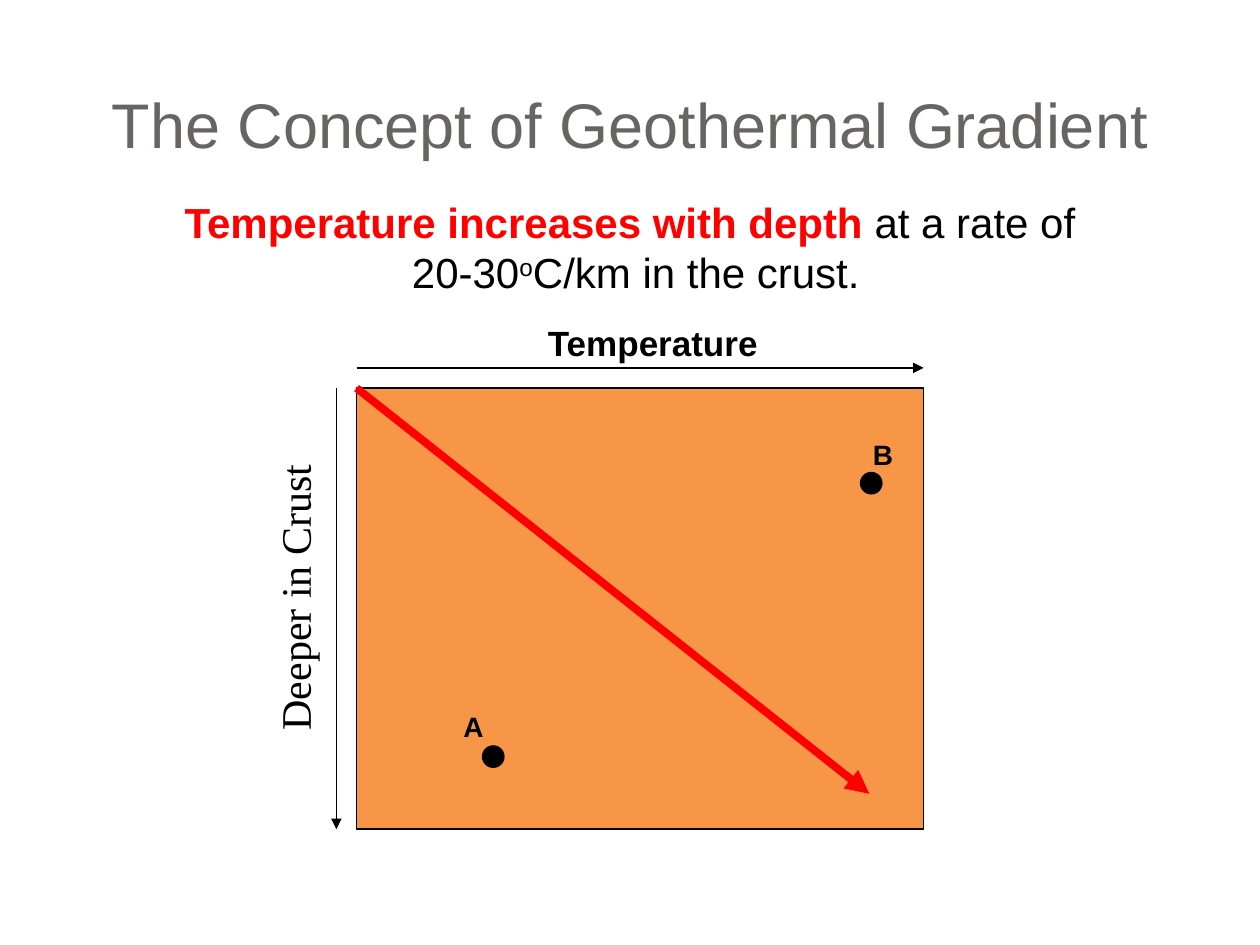
"""Builds the geothermal gradient slide: title, statement and a temperature-depth diagram."""
from lxml.etree import SubElement
from pptx import Presentation
from pptx.dml.color import RGBColor
from pptx.enum.shapes import MSO_CONNECTOR, MSO_SHAPE
from pptx.enum.text import MSO_AUTO_SIZE, PP_ALIGN
from pptx.oxml.ns import qn
from pptx.util import Inches, Pt

THEME = {
    "black": RGBColor(0, 0, 0),
    "grey": RGBColor(0x69, 0x64, 0x64),
    "red": RGBColor(0xFF, 0, 0),
    "crust": RGBColor(0xF7, 0x96, 0x46),
    "title": Pt(36),
    "body": Pt(24),
    "axis": Pt(20),
    "point": Pt(16),
    "thin": Pt(0.75),
    "thick": Pt(4.5),
}


def add_text(slide, box, paragraphs, size, align=PP_ALIGN.LEFT, wrap=False, font="Arial"):
    shape = slide.shapes.add_textbox(*map(Inches, box))
    frame = shape.text_frame
    frame.word_wrap = wrap
    frame.auto_size = MSO_AUTO_SIZE.SHAPE_TO_FIT_TEXT
    for index, runs in enumerate(paragraphs):
        paragraph = frame.paragraphs[0] if index == 0 else frame.add_paragraph()
        paragraph.alignment = align
        for text, color, bold, baseline in runs:
            run = paragraph.add_run()
            run.text = text
            run.font.color.rgb = THEME[color]
            for name, value in {"name": font, "size": THEME[size], "bold": bold}.items():
                setattr(run.font, name, value)
            if baseline:
                run.font._element.set("baseline", str(baseline * 1000))
    return shape


def add_filled_shape(slide, kind, box, fill):
    shape = slide.shapes.add_shape(kind, *map(Inches, box))
    shape.shadow.inherit = False
    shape.fill.solid()
    shape.fill.fore_color.rgb = THEME[fill]
    shape.line.color.rgb = THEME["black"]
    shape.line.width = THEME["thin"]


presentation = Presentation()
presentation.slide_width = Inches(10)
presentation.slide_height = Inches(7.5)
slide = presentation.slides.add_slide(presentation.slide_layouts[6])

left, top, width, height = 2.83, 3.08, 4.5, 3.5
right, bottom = left + width, top + height
axis_gap = 0.16
dot = 0.17

add_text(slide, (0, 0.63, 10, 0.71),
         [[("The Concept of Geothermal Gradient", "grey", False, 0)]],
         "title", PP_ALIGN.CENTER, True)
add_text(slide, (0, 1.51, 10, 0.91), [
    [("Temperature increases with depth ", "red", True, 0),
     ("at a rate of", "black", False, 0)],
    [(" 20-30", "black", False, 0),
     ("o", "black", False, 30),
     ("C/km in the crust.", "black", False, 0)],
], "body", PP_ALIGN.CENTER, True)

add_filled_shape(slide, MSO_SHAPE.RECTANGLE, (left, top, width, height), "crust")

arrows = [
    ((left, top, 6.9, 6.3), "red", "thick"),
    ((left - axis_gap, top, left - axis_gap, bottom), "black", "thin"),
    ((left, top - axis_gap, right, top - axis_gap), "black", "thin"),
]
for ends, color, weight in arrows:
    arrow = slide.shapes.add_connector(MSO_CONNECTOR.STRAIGHT, *map(Inches, ends))
    arrow.line.color.rgb = THEME[color]
    arrow.line.width = THEME[weight]
    SubElement(arrow.line._get_or_add_ln(), qn("a:tailEnd"), type="triangle")
    SubElement(arrow._element.spPr, qn("a:effectLst"))

add_text(slide, (4.25, 2.5, 1.88, 0.44), [[("Temperature", "black", True, 0)]], "axis")
depth_label = add_text(slide, (1.18, 4.49, 2.31, 0.5),
                       [[("Deeper in Crust", "black", False, 0)]],
                       "body", font="Times New Roman")
depth_label.rotation = 270

points = [("A", (3.58, 5.58), (3.83, 5.92)), ("B", (6.83, 3.42), (6.83, 3.75))]
for name, label_corner, dot_corner in points:
    add_text(slide, (*label_corner, 0.36, 0.37), [[(name, "black", True, 0)]], "point")
    add_filled_shape(slide, MSO_SHAPE.OVAL, (*dot_corner, dot, dot), "black")

presentation.save("out.pptx")
